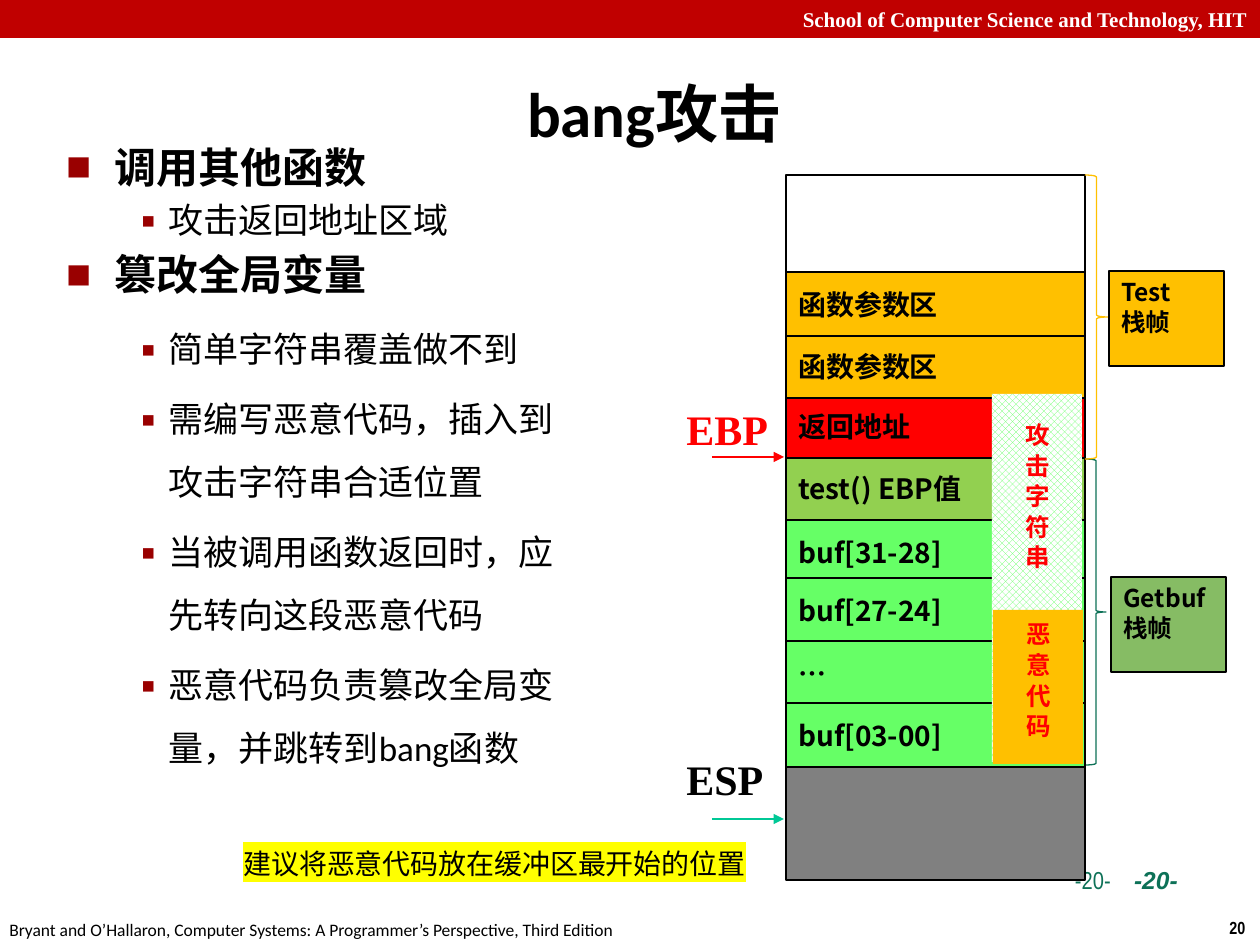
from lxml import etree
from pptx import Presentation
from pptx import util as u
from pptx.dml.color import RGBColor
from pptx.enum import dml, shapes, text
from pptx.oxml import ns

BLACK = RGBColor(0, 0, 0)
WHITE = RGBColor(255, 255, 255)
RED = RGBColor(255, 0, 0)
CRIMSON = RGBColor(0xC0, 0, 0)
MAROON = RGBColor(0x99, 0, 0)
GRAY = RGBColor(0x80, 0x80, 0x80)
AMBER = RGBColor(0xFF, 0xC0, 0)
LIME = RGBColor(0x66, 0xFF, 0x66)
LEAF = RGBColor(0x92, 0xD0, 0x50)
SAGE = RGBColor(0x86, 0xBC, 0x64)
TEAL = RGBColor(0x0D, 0x71, 0x57)
MINT = RGBColor(0, 0xC8, 0x96)
YELLOW = RGBColor(0xFF, 0xFF, 0)

CJK, SANS, SERIF = "Noto Sans CJK SC", "Calibri", "Times New Roman"
NARROW = "Arial Narrow"
LEFT, MID, RIGHT = text.PP_ALIGN.LEFT, text.PP_ALIGN.CENTER, text.PP_ALIGN.RIGHT
TOP, CENTER = text.MSO_ANCHOR.TOP, text.MSO_ANCHOR.MIDDLE
RECT, BRACE = shapes.MSO_SHAPE.RECTANGLE, shapes.MSO_SHAPE.RIGHT_BRACE

# Outline: (level, line spacing, words)
OUTLINE = [
    (0, 1, "调用其他函数"),
    (1, 1, "攻击返回地址区域"),
    (0, 1, "篡改全局变量"),
    (1, 1.5, "简单字符串覆盖做不到"),
    (1, 1.5, "需编写恶意代码，插入到攻击字符串合适位置"),
    (1, 1.5, "当被调用函数返回时，应先转向这段恶意代码"),
    (1, 1.5, "恶意代码负责篡改全局变量，并跳转到bang函数"),
]
# Level: (size, bold, left margin, hang, bullet, bullet percent)
LEVELS = [(24, True, 48, 48, "■", 60), (20, False, 102, 39, "▪", 110)]

# Stack cells, back to front: (top, fill, words)
STACK_X, STACK_W, CELL_H = 786, 299, 64
CELLS = [
    (456, LEAF, "test() EBP值"),
    (520, LIME, "buf[31-28]"),
    (578, LIME, "buf[27-24]"),
    (641, LIME, "…"),
    (703, LIME, "buf[03-00]"),
    (394, RED, "返回地址"),
    (334, AMBER, "函数参数区"),
    (272, AMBER, "函数参数区"),
]
# Registers: (name, text top, arrow y, text colour, arrow colour)
POINTERS = [("EBP", 397, 457, RED, RED), ("ESP", 747, 819, BLACK, MINT)]
# Frames: (brace box, brace colour, label left and top, fill, lines)
FRAMES = [
    ((1086, 459, 20, 306), TEAL, (1111, 577), SAGE, ["Getbuf栈帧"]),
    ((1085, 175, 23, 284), AMBER, (1109, 271), AMBER, ["Test", "栈帧"]),
]


def px(n):
    return u.Emu(round(n * 914400 / 126))


prs = Presentation()
prs.slide_width, prs.slide_height = px(1260), px(945)
slide = prs.slides.add_slide(prs.slide_layouts[6])


def sub(node, tag, **attrs):
    return etree.SubElement(node, ns.qn(tag), attrs)


def write(par, words, size, color=BLACK, font=CJK, bold=False, italic=False):
    run = par.add_run()
    run.text = words
    f = run.font
    f.size, f.name, f.bold, f.italic = u.Pt(size), font, bold, italic
    f.color.rgb = color
    sub(run._r.get_or_add_rPr(), "a:ea", typeface=CJK)
    return run


def fill_text(shape, lines, size, align=LEFT, anchor=TOP, wrap=True, **style):
    frame = shape.text_frame
    frame.word_wrap, frame.vertical_anchor = wrap, anchor
    for i, words in enumerate(lines):
        par = frame.add_paragraph() if i else frame.paragraphs[0]
        par.alignment = align
        write(par, words, size, **style)
    return shape


def label(box, words, size, **style):
    area = slide.shapes.add_textbox(*map(px, box))
    return fill_text(area, [words], size, **style)


def block(box, fill=None, line=None, kind=RECT):
    shape = slide.shapes.add_shape(kind, *map(px, box))
    shape.shadow.inherit = False
    if fill is None:
        shape.fill.background()
    else:
        shape.fill.solid()
        shape.fill.fore_color.rgb = fill
    if line is None:
        shape.line.fill.background()
    else:
        shape.line.color.rgb = line
        shape.line.width = u.Pt(0.75)
    return shape


def arrow(x1, x2, y, color):
    line = slide.shapes.add_connector(
        shapes.MSO_CONNECTOR.STRAIGHT, px(x1), px(y), px(x2), px(y))
    line.line.color.rgb = color
    line.line.width = u.Pt(0.75)
    sub(line.line._get_or_add_ln(), "a:tailEnd", type="triangle")
    sub(line._element.spPr, "a:effectLst")


def upright(shape, words, **style):
    """Stack the characters of words from top to bottom."""
    fill_text(shape, [words], 14, anchor=CENTER, color=RED, bold=True, **style)
    shape.text_frame._txBody.bodyPr.set("vert", "eaVert")


def outline(box):
    frame = slide.shapes.add_textbox(*map(px, box)).text_frame
    frame.word_wrap = True
    for i, (level, gap, words) in enumerate(OUTLINE):
        size, bold, margin, hang, mark, scale = LEVELS[level]
        par = frame.add_paragraph() if i else frame.paragraphs[0]
        par.level, par.line_spacing = level, gap
        par.space_before = u.Pt(size * 0.2)
        props = par._p.get_or_add_pPr()
        props.set("marL", str(px(margin)))
        props.set("indent", str(-px(hang)))
        sub(sub(props, "a:buClr"), "a:srgbClr", val=str(MAROON))
        sub(props, "a:buSzPct", val=str(scale * 1000))
        sub(props, "a:buFont", typeface=CJK)
        sub(props, "a:buChar", char=mark)
        write(par, words, size, font=SANS, bold=bold)


# Header, footer, title and outline
label((1217, 911, 43, 34), "20", 10, font=NARROW, bold=True, wrap=False)
label((-3, 913, 640, 34),
      "Bryant and O’Hallaron, Computer Systems: A Programmer’s Perspective, Third Edition",
      10, font=SANS, wrap=False)
fill_text(block((0, 0, 1260, 38), CRIMSON),
          ["School of Computer Science and Technology, HIT"], 12,
          align=RIGHT, anchor=CENTER, color=WHITE, font=SERIF, bold=True)
label((49, 60, 1211, 105), "bang攻击", 36, align=MID, anchor=CENTER,
      font=SANS, bold=True)
outline((54, 135, 546, 694))
corner = (1057, 859, 140, 66)
label(corner, " -20-", 14, color=TEAL, font=NARROW)
label(corner, " -20- ", 14, align=RIGHT, color=TEAL, font="Arial",
      bold=True, italic=True)

# Stack
block((STACK_X, 459, STACK_W, 421), GRAY, BLACK)
block((STACK_X, 175, STACK_W, 284), WHITE, BLACK)
for name, top, y, ink, color in POINTERS:
    label((674, top, 112, 63), name, 24, color=ink, font=SERIF, bold=True)
    arrow(712, 784, y, color)
for top, fill, words in CELLS:
    cell = block((STACK_X, top, STACK_W, CELL_H), fill, BLACK)
    fill_text(cell, [words], 16, anchor=CENTER, bold=True)
for brace, color, spot, fill, lines in FRAMES:
    block(brace, line=color, kind=BRACE)
    fill_text(block((*spot, 115, 95), fill, BLACK), lines, 14, bold=True)

# Attack string over the stack
string = block((992, 394, 90, 368))
string.fill.patterned()
string.fill.pattern = dml.MSO_PATTERN.LARGE_CHECKER_BOARD
string.fill.fore_color.rgb, string.fill.back_color.rgb = LIME, WHITE
string.text_frame.margin_top = px(29)
upright(string, "攻 击 字 符 串")
upright(block((993, 610, 90, 154), AMBER), "恶 意 代 码", align=MID)

# Highlighted advice
advice = label((231, 840, 577, 47), "建议将恶意代码放在缓冲区最开始的位置", 16, font=SANS)
props = advice.text_frame.paragraphs[0].runs[0]._r.rPr
glow = etree.Element(ns.qn("a:highlight"))
sub(glow, "a:srgbClr", val=str(YELLOW))
props.find(ns.qn("a:solidFill")).addnext(glow)

prs.save("out.pptx")
